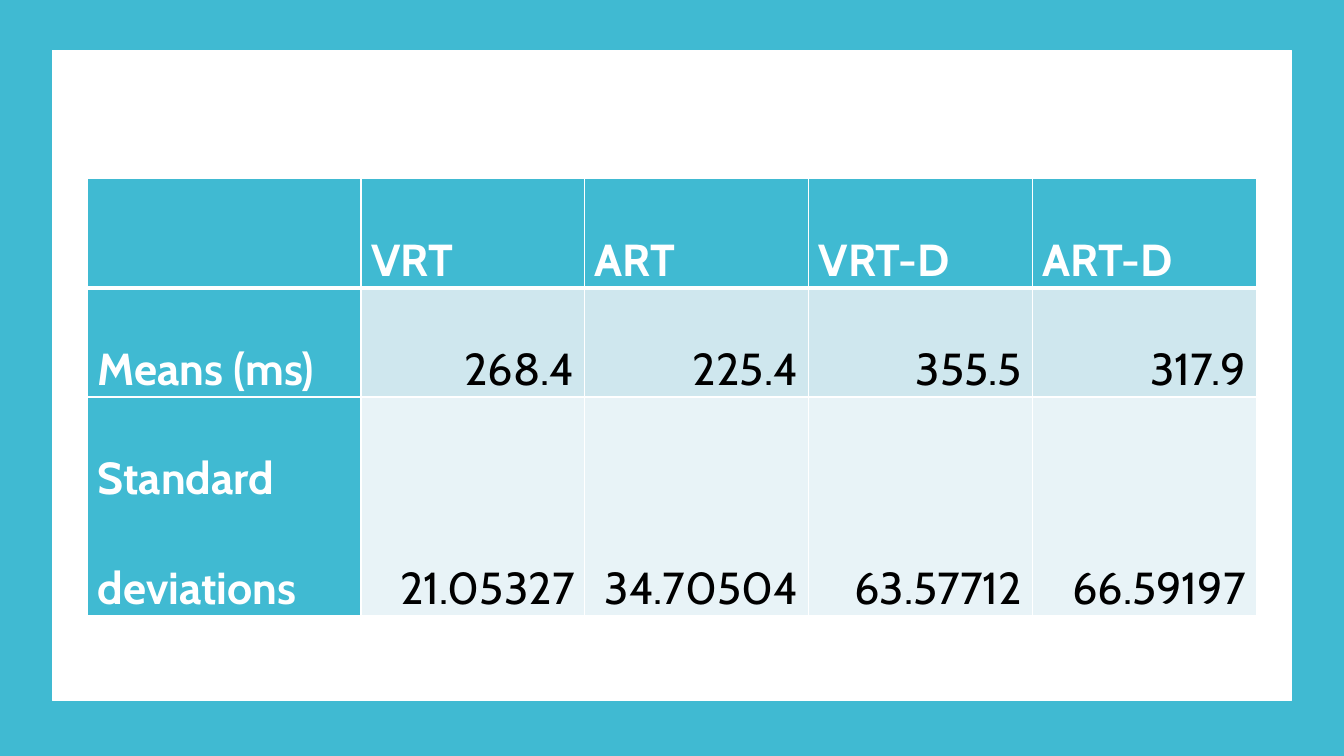
from dataclasses import dataclass

from lxml import etree
from pptx import Presentation
from pptx.dml.color import RGBColor
from pptx.enum.shapes import MSO_SHAPE
from pptx.enum.text import MSO_ANCHOR, PP_ALIGN
from pptx.oxml.ns import qn
from pptx.util import Inches, Pt

RECT = MSO_SHAPE.RECTANGLE
LEFT, RIGHT = PP_ALIGN.LEFT, PP_ALIGN.RIGHT
BOTTOM = MSO_ANCHOR.BOTTOM
WIDTH, HEIGHT = 13.33, 7.5


@dataclass(frozen=True)
class Theme:
    accent: str = "40BAD2"
    paper: str = "FFFFFF"
    ink: str = "000000"
    bands: tuple = ("CFE7EE", "E8F3F7")
    font: str = "Cabin"
    size: int = 32
    spacing: float = 2.0
    rule: float = 1
    header_rule: float = 3


class SlideBuilder:
    def __init__(self, slide, theme):
        self.s, self.theme = slide, theme

    def box(self, x, y, w, h):
        """Turn shares of the slide's size into lengths."""
        return [Inches(share * full) for share, full in
                zip((x, y, w, h), (WIDTH, HEIGHT, WIDTH, HEIGHT))]

    def panel(self, area, fill, line=None):
        sp = self.s.shapes.add_shape(RECT, *self.box(*area))
        sp.shadow.inherit = False
        sp.fill.solid()
        sp.fill.fore_color.rgb = RGBColor.from_string(fill)
        if line:
            sp.line.color.rgb = RGBColor.from_string(fill)
            sp.line.width = Pt(line)
        else:
            sp.line.fill.background()

    def borders(self, cell, top, bottom):
        rule = self.theme.rule
        widths = {"a:lnL": rule, "a:lnR": rule, "a:lnT": top, "a:lnB": bottom}
        tc_pr = cell._tc.get_or_add_tcPr()
        for i, (tag, width) in enumerate(widths.items()):
            ln = etree.Element(qn(tag), w=str(Pt(width)))
            fill = etree.SubElement(ln, qn("a:solidFill"))
            etree.SubElement(fill, qn("a:srgbClr"), val=self.theme.paper)
            tc_pr.insert(i, ln)

    def cell(self, cell, text, row, is_label):
        t = self.theme
        cell.fill.solid()
        cell.fill.fore_color.rgb = RGBColor.from_string(
            t.accent if is_label else t.bands[(row - 1) % 2])
        self.borders(cell, t.header_rule if row == 1 else t.rule,
                     t.header_rule if row == 0 else t.rule)
        layout = {"vertical_anchor": BOTTOM, "margin_top": 0, "margin_bottom": 0}
        for name, value in layout.items():
            setattr(cell, name, value)
        if not text:
            return
        p = cell.text_frame.paragraphs[0]
        p.line_spacing = t.spacing
        p.alignment = LEFT if is_label else RIGHT
        r = p.add_run()
        r.text = text
        style = {"name": t.font, "size": Pt(t.size), "bold": is_label}
        for name, value in style.items():
            setattr(r.font, name, value)
        r.font.color.rgb = RGBColor.from_string(t.paper if is_label else t.ink)

    def table(self, area, rows, col_shares, row_shares):
        x, y, w, h = self.box(*area)
        table = self.s.shapes.add_table(len(rows), len(rows[0]), x, y, w, h).table
        table.first_row = table.horz_banding = False
        for column, share in zip(table.columns, col_shares):
            column.width = int(w * share / sum(col_shares))
        for row, share in zip(table.rows, row_shares):
            row.height = int(h * share / sum(row_shares))
        for i, values in enumerate(rows):
            for j, text in enumerate(values):
                self.cell(table.cell(i, j), text, i, is_label=i == 0 or j == 0)


prs = Presentation()
prs.slide_width, prs.slide_height = Inches(WIDTH), Inches(HEIGHT)
theme = Theme()
builder = SlideBuilder(prs.slides.add_slide(prs.slide_layouts[6]), theme)

# Coloured frame around a white page
builder.panel((0, 0, 1, 1), theme.accent)
margin_x, margin_y = 0.52 / WIDTH, 0.5 / HEIGHT
builder.panel((margin_x, margin_y, 1 - 2 * margin_x, 6.45 / HEIGHT),
              theme.paper, line=0.85)

# Reaction time results
results = [
    ["", "VRT", "ART", "VRT-D", "ART-D"],
    ["Means (ms)", "268.4", "225.4", "355.5", "317.9"],
    ["Standard deviations", "21.05327", "34.70504", "63.57712", "66.59197"],
]
table_x = 0.87 / WIDTH
builder.table((table_x, 1.77 / HEIGHT, 1 - 2 * table_x, 3.91 / HEIGHT),
              results, [2.71] + [2.22] * 4, [0.95, 0.95, 2])

prs.save("out.pptx")
